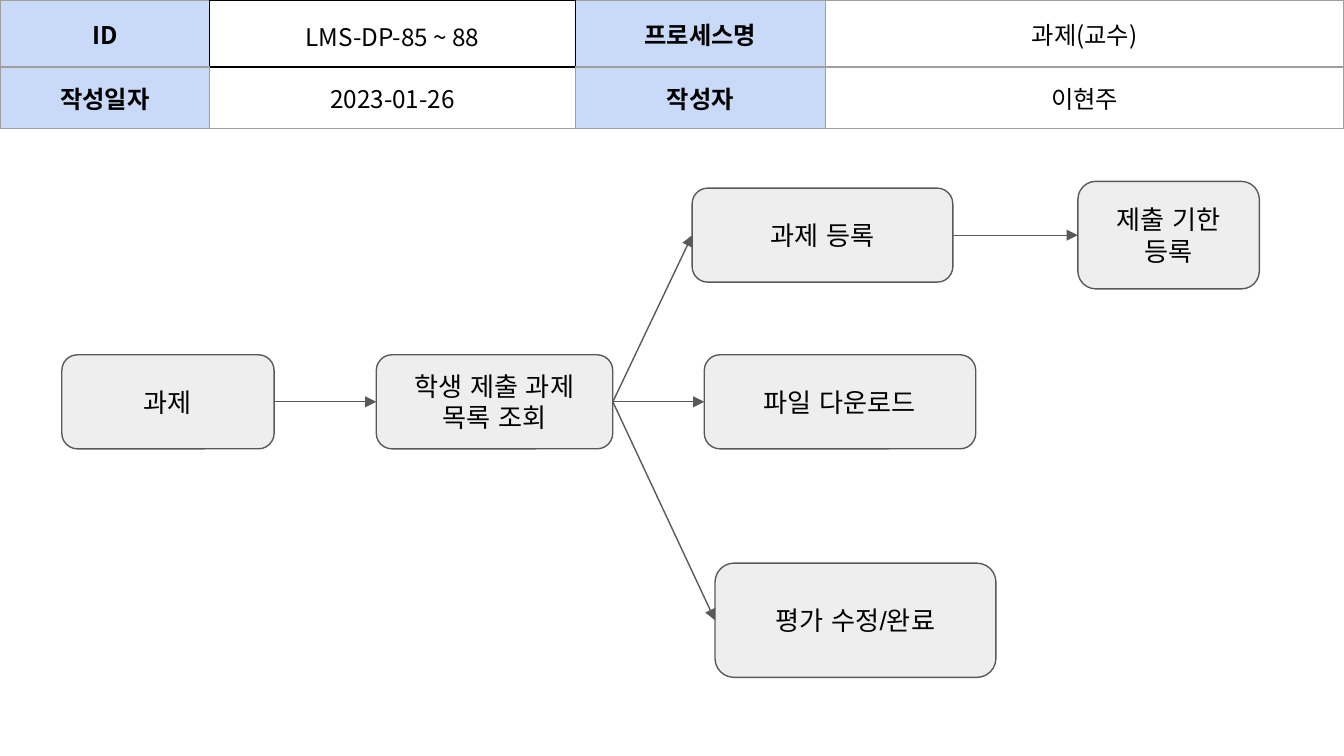
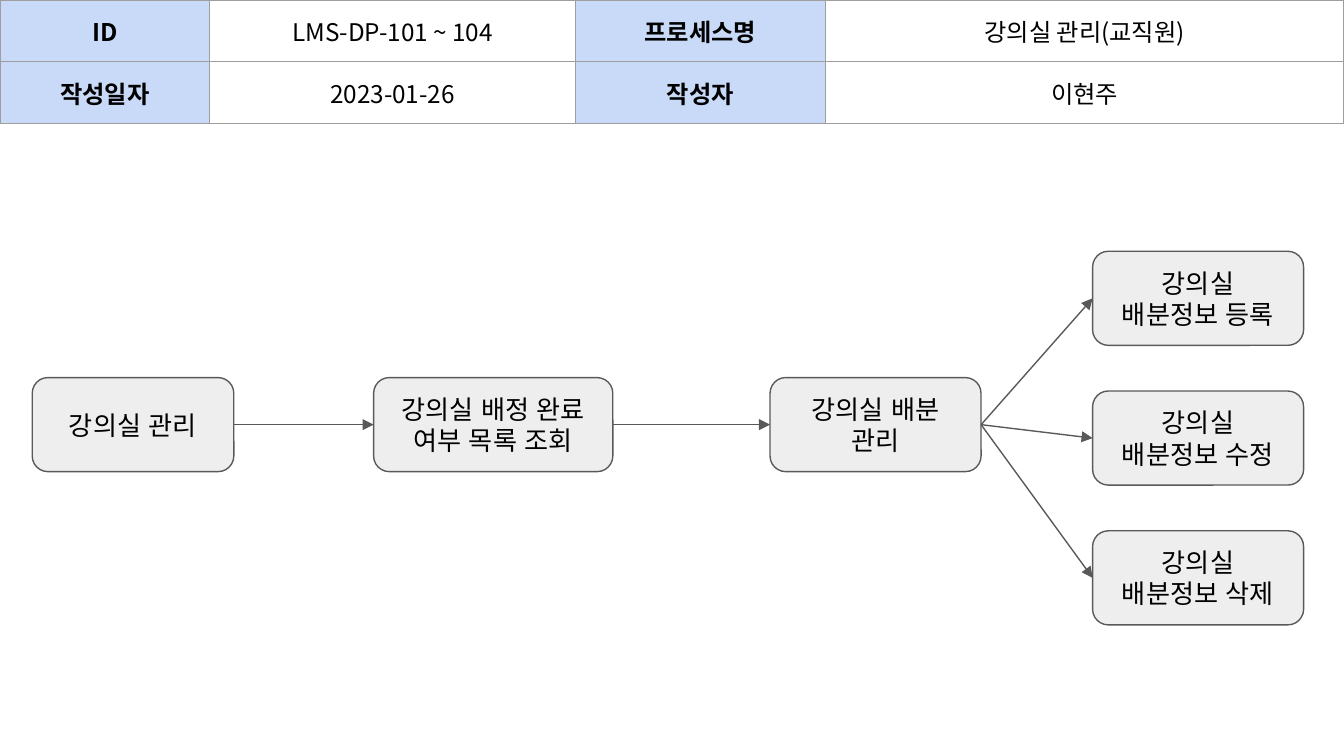
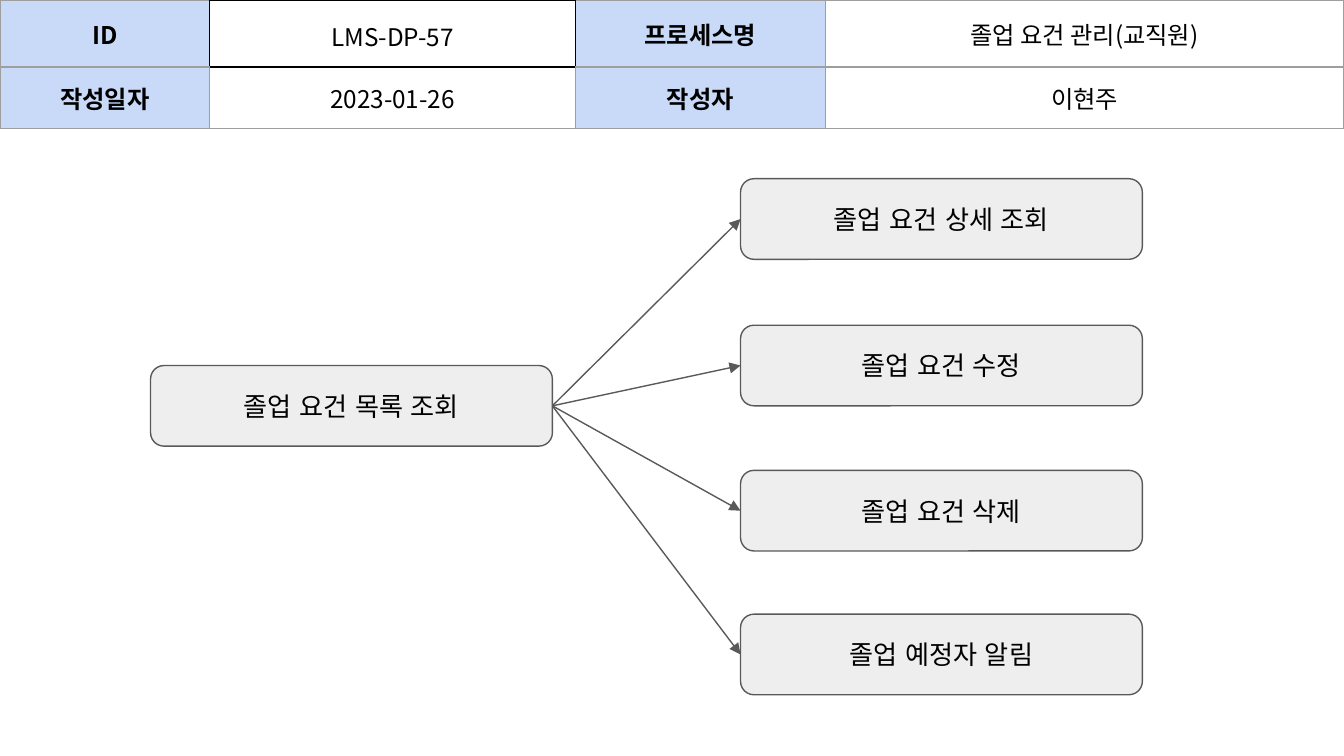
from dataclasses import dataclass
from typing import Any

from lxml.etree import SubElement
from pptx import Presentation
from pptx.dml.color import RGBColor
from pptx.enum.shapes import MSO_CONNECTOR, MSO_SHAPE
from pptx.enum.text import MSO_ANCHOR, PP_ALIGN
from pptx.oxml.ns import qn
from pptx.util import Inches, Pt

ROUND = MSO_SHAPE.ROUNDED_RECTANGLE
STRAIGHT = MSO_CONNECTOR.STRAIGHT
TOP, MIDDLE = MSO_ANCHOR.TOP, MSO_ANCHOR.MIDDLE
CENTER = PP_ALIGN.CENTER
LEFT_SITE, RIGHT_SITE = 1, 3
SIDES = ("L", "R", "T", "B")


@dataclass(frozen=True)
class Theme:
    ink: str = "000000"
    paper: str = "FFFFFF"
    label: str = "C9DAF8"
    grid: str = "9E9E9E"
    node: str = "EEEEEE"
    line: str = "595959"
    head_font: str = "Noto Sans CJK KR"
    node_font: str = "Arial"
    head_size: float = 13
    node_size: float = 14
    thin: float = 0.75
    frame: float = 0.68


@dataclass(frozen=True)
class Node:
    text: str
    left: float
    top: float
    width: float
    height: float = 0.7


@dataclass(frozen=True)
class Page:
    code: str
    name: str
    nodes: list[Node]
    links: list[tuple[int, int]]
    framed: bool = False


THEME = Theme()
WIDTH = 10
HEIGHT = WIDTH * 9 / 16
COLS = (1.56, 2.72, 1.86, 0.91, 1.12, 1.83)
ROWS = (0.42, 0.43)
DATE, AUTHOR = "2023-01-26", "이현주"
PAD = {f"margin_{side}": Inches(0.1) for side in ("left", "right", "top", "bottom")}
BOX = {**PAD, "vertical_anchor": MIDDLE}


def stack(tops: dict[str, float], left: float, width: float,
          height: float) -> list[Node]:
    """Nodes of one size in one column, given the top of each text."""
    return [Node(text, left, top, width, height) for text, top in tops.items()]


PAGES = [
    Page("LMS-DP-85 ~ 88", "과제(교수)", [
        Node("과제", 0.46, 2.64, 1.58),
        Node("학생 제출 과제 목록 조회", 2.8, 2.64, 1.76),
        Node("과제 등록", 5.15, 1.4, 1.94),
        Node("파일 다운로드", 5.24, 2.64, 2.02),
        Node("평가 수정/완료", 5.32, 4.19, 2.09, 0.85),
        Node("제출 기한 등록", 8.02, 1.35, 1.35, 0.8),
    ], [(0, 1), (1, 2), (1, 3), (1, 4), (2, 5)], framed=True),
    Page("LMS-DP-101 ~ 104", "강의실 관리(교직원)", [
        Node("강의실 관리", 0.24, 2.81, 1.5),
        Node("강의실 배정 완료 여부 목록 조회", 2.78, 2.81, 1.78),
        Node("강의실 배분 관리", 5.73, 2.81, 1.57),
        *stack({f"강의실 배분정보 {act}": 1.87 + 1.04 * i
                for i, act in enumerate(("등록", "수정", "삭제"))}, 8.13, 1.57, 0.7),
    ], [(0, 1), (1, 2), (2, 3), (2, 4), (2, 5)]),
    Page("LMS-DP-57", "졸업 요건 관리(교직원)", [
        Node("졸업 요건 목록 조회", 1.12, 2.72, 2.99, 0.6),
        *stack({"졸업 요건 상세 조회": 1.33, "졸업 요건 수정": 2.42,
                "졸업 요건 삭제": 3.5, "졸업 예정자 알림": 4.57}, 5.51, 2.99, 0.6),
    ], [(0, i) for i in range(1, 5)], framed=True),
]


def apply(target: Any, values: dict[str, Any]) -> None:
    for key, value in values.items():
        setattr(target, key, value)


def paint(fill: Any, color: str) -> None:
    fill.solid()
    fill.fore_color.rgb = RGBColor.from_string(color)


def write(frame: Any, text: str, font: str, size: float, bold: bool = False) -> None:
    para = frame.paragraphs[0]
    para.alignment = CENTER
    run = para.add_run()
    run.text = text
    apply(run.font, {"name": font, "size": Pt(size), "bold": bold})
    run.font.color.rgb = RGBColor.from_string(THEME.ink)
    SubElement(run.font._element, qn("a:ea"), typeface=font)


def edge(cell: Any, dark: str) -> None:
    """Border a cell; the sides named in dark get the frame line."""
    props = cell._tc.get_or_add_tcPr()
    for side in SIDES:
        color, width = ((THEME.ink, THEME.frame) if side in dark
                        else (THEME.grid, THEME.thin))
        line = SubElement(props, qn(f"a:ln{side}"), w=str(int(Pt(width))))
        fill = SubElement(line, qn("a:solidFill"))
        SubElement(fill, qn("a:srgbClr"), val=color)


def add_head(slide: Any, page: Page) -> None:
    table = slide.shapes.add_table(
        len(ROWS), len(COLS), 0, 0, Inches(sum(COLS)), Inches(sum(ROWS))).table
    apply(table, {"first_row": False, "horz_banding": False})
    for col, width in zip(table.columns, COLS):
        col.width = Inches(width)
    for row, height in zip(table.rows, ROWS):
        row.height = Inches(height)

    texts = (("ID", page.code, "프로세스명", page.name),
             ("작성일자", DATE, "작성자", AUTHOR))
    dark = {(0, 0): "R", (0, 1): "LRTB", (0, 2): "L", (1, 1): "T"}
    for r in range(len(ROWS)):
        table.cell(r, 3).merge(table.cell(r, len(COLS) - 1))
        for c in range(len(COLS)):
            cell = table.cell(r, c)
            edge(cell, dark.get((r, c), "") if page.framed else "")
            apply(cell, BOX)
            label = c in (0, 2)
            if label:
                paint(cell.fill, THEME.label)
            else:
                cell.fill.background()
            if c < len(texts[r]):
                write(cell.text_frame, texts[r][c], THEME.head_font,
                      THEME.head_size, label)
    if page.framed:
        code = table.cell(0, 1)
        paint(code.fill, THEME.paper)
        code.vertical_anchor = TOP
        code.text_frame.paragraphs[0].line_spacing = 1.15


def rule(line: Any) -> None:
    paint(line.fill, THEME.line)
    line.width = Pt(THEME.thin)


def add_node(slide: Any, node: Node) -> Any:
    shape = slide.shapes.add_shape(ROUND, *map(
        Inches, (node.left, node.top, node.width, node.height)))
    shape.shadow.inherit = False
    paint(shape.fill, THEME.node)
    rule(shape.line)
    apply(shape.text_frame, {**BOX, "word_wrap": True})
    write(shape.text_frame, node.text, THEME.node_font, THEME.node_size)
    return shape


def add_arrow(slide: Any, start: Any, end: Any) -> None:
    arrow = slide.shapes.add_connector(STRAIGHT, 0, 0, 0, 0)
    arrow.begin_connect(start, RIGHT_SITE)
    arrow.end_connect(end, LEFT_SITE)
    rule(arrow.line)
    props = arrow._element.spPr
    SubElement(props.find(qn("a:ln")), qn("a:tailEnd"), type="triangle")
    SubElement(props, qn("a:effectLst"))


def main() -> None:
    deck = Presentation()
    apply(deck, {"slide_width": Inches(WIDTH), "slide_height": Inches(HEIGHT)})
    blank = deck.slide_layouts[6]
    for page in PAGES:
        slide = deck.slides.add_slide(blank)
        add_head(slide, page)
        shapes = [add_node(slide, node) for node in page.nodes]
        for start, end in page.links:
            add_arrow(slide, shapes[start], shapes[end])
    deck.save("out.pptx")


if __name__ == "__main__":
    main()
